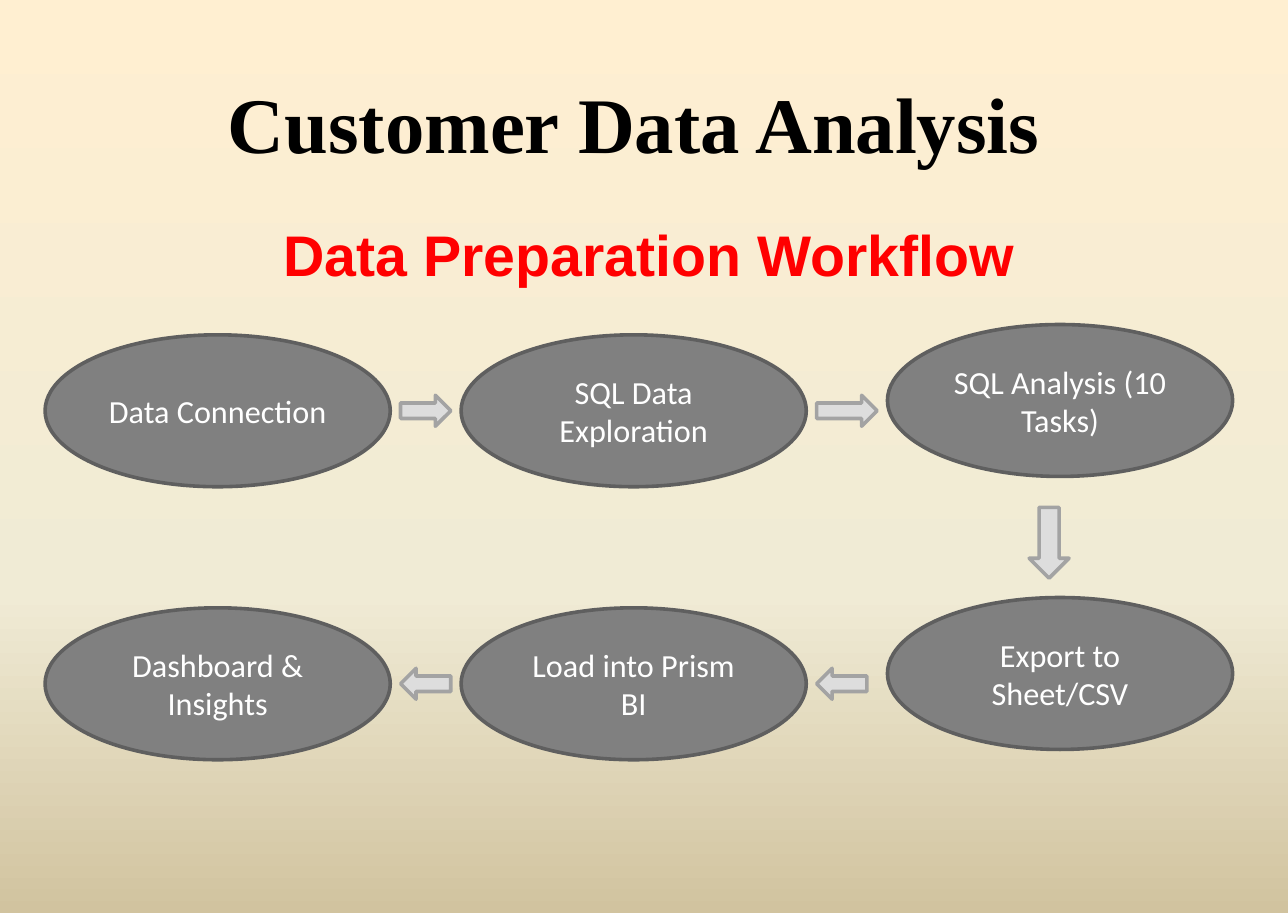
from collections import namedtuple
from copy import deepcopy

from pptx import Presentation
from pptx.dml.color import RGBColor
from pptx.enum.shapes import MSO_SHAPE
from pptx.enum.text import MSO_ANCHOR, PP_ALIGN
from pptx.oxml.ns import qn
from pptx.util import Inches, Pt

ELLIPSE = MSO_SHAPE.OVAL
RIGHT, LEFT, DOWN = MSO_SHAPE.RIGHT_ARROW, MSO_SHAPE.LEFT_ARROW, MSO_SHAPE.DOWN_ARROW
CENTER, MIDDLE = PP_ALIGN.CENTER, MSO_ANCHOR.MIDDLE

BLACK = RGBColor(0x00, 0x00, 0x00)
WHITE = RGBColor(0xFF, 0xFF, 0xFF)
RED = RGBColor(0xFF, 0x00, 0x00)
STEP_FILL = RGBColor(0x80, 0x80, 0x80)
STEP_LINE = RGBColor(0x5F, 0x5F, 0x5F)
ARROW_FILL = RGBColor(0xDD, 0xDD, 0xDD)
ARROW_LINE = RGBColor(0xA3, 0xA3, 0xA3)
BACKDROP = (
    (0, RGBColor(0xFF, 0xEF, 0xD1)),
    (0.65, RGBColor(0xF0, 0xEB, 0xD5)),
    (1, RGBColor(0xD1, 0xC3, 0x9F)),
)

Box = namedtuple("Box", "left top width height")
SLIDE = Box(0, 0, 10, 7.09)
TITLE = Box(0.75, 0.19, 8.5, 1.52)
SUBTITLE = Box(1.54, 1.65, 7, 0.71)
WORKFLOW = Box(0.35, 2.52, 9.22, 3.38)

STEPS = (
    ("Data Connection", "SQL Data Exploration", "SQL Analysis (10 Tasks)"),
    ("Dashboard & Insights", "Load into Prism BI", "Export to Sheet/CSV"),
)
COLUMNS = (0, 3.23, 6.54)
ROW_PITCH = 2.12
LAST_COLUMN_RAISE = 0.08
STEP_WIDTH, STEP_HEIGHT = 2.68, 1.18
ARROW_GAP, ARROW_HEIGHT = 0.08, 0.24
ARROW_LENGTHS = ((0.39, 0.47), (0.39, 0.39))
DOWN_ARROW = Box(7.64, 1.42, 0.31, 0.55)


def in_inches(box):
    return [Inches(length) for length in box]


def write_text(shape, text, font_name, size, color, bold=False):
    frame = shape.text_frame
    frame.text = text
    frame.word_wrap = True
    para = frame.paragraphs[0]
    para.alignment = CENTER
    for span in para.runs:
        span.font.name = font_name
        span.font.size = Pt(size)
        span.font.bold = bold
        span.font.color.rgb = color
    return frame


def paint_background(slide):
    fill = slide.background.fill
    fill.gradient()
    fill.gradient_angle = 270
    stop_list = slide.element.find(".//" + qn("a:gsLst"))
    stop_list.append(deepcopy(stop_list[-1]))
    for stop, (position, color) in zip(fill.gradient_stops, BACKDROP):
        stop.position = position
        stop.color.rgb = color


def place_title(slide, box):
    title = slide.shapes.title
    title.left, title.top, title.width, title.height = in_inches(box)
    frame = write_text(title, "Customer Data Analysis ", "Times New Roman", 44, BLACK, True)
    frame.vertical_anchor = MIDDLE


def place_subtitle(slide, box):
    subtitle = slide.shapes.add_textbox(*in_inches(box))
    frame = write_text(subtitle, "Data Preparation Workflow", "Arial", 32, RED, True)
    frame.paragraphs[0].space_before = Pt(4)


def add_outlined_shape(slide, kind, box, fill_color, line_color):
    shape = slide.shapes.add_shape(kind, *in_inches(box))
    shape.shadow.inherit = False
    shape.fill.solid()
    shape.fill.fore_color.rgb = fill_color
    shape.line.color.rgb = line_color
    shape.line.width = Pt(2)
    return shape


def add_step(slide, box, text):
    step = add_outlined_shape(slide, ELLIPSE, box, STEP_FILL, STEP_LINE)
    write_text(step, text, "Calibri", 18, WHITE).vertical_anchor = MIDDLE


def add_arrow(slide, kind, box):
    add_outlined_shape(slide, kind, box, ARROW_FILL, ARROW_LINE)


def place_workflow(slide, box):
    for row, (labels, lengths, kind) in enumerate(zip(STEPS, ARROW_LENGTHS, (RIGHT, LEFT))):
        row_top = box.top + LAST_COLUMN_RAISE + row * ROW_PITCH
        for column, label in zip(COLUMNS, labels):
            raised = LAST_COLUMN_RAISE if column == COLUMNS[-1] else 0
            add_step(
                slide,
                Box(box.left + column, row_top - raised, STEP_WIDTH, STEP_HEIGHT),
                label,
            )
        arrow_top = row_top + (STEP_HEIGHT - ARROW_HEIGHT) / 2
        for column, length in zip(COLUMNS, lengths):
            arrow_left = box.left + column + STEP_WIDTH + ARROW_GAP
            add_arrow(slide, kind, Box(arrow_left, arrow_top, length, ARROW_HEIGHT))
    add_arrow(
        slide,
        DOWN,
        DOWN_ARROW._replace(left=box.left + DOWN_ARROW.left, top=box.top + DOWN_ARROW.top),
    )


def main():
    deck = Presentation()
    deck.slide_width, deck.slide_height = Inches(SLIDE.width), Inches(SLIDE.height)
    page = deck.slides.add_slide(deck.slide_layouts[5])
    paint_background(page)
    place_title(page, TITLE)
    place_subtitle(page, SUBTITLE)
    place_workflow(page, WORKFLOW)
    deck.save("out.pptx")


if __name__ == "__main__":
    main()
